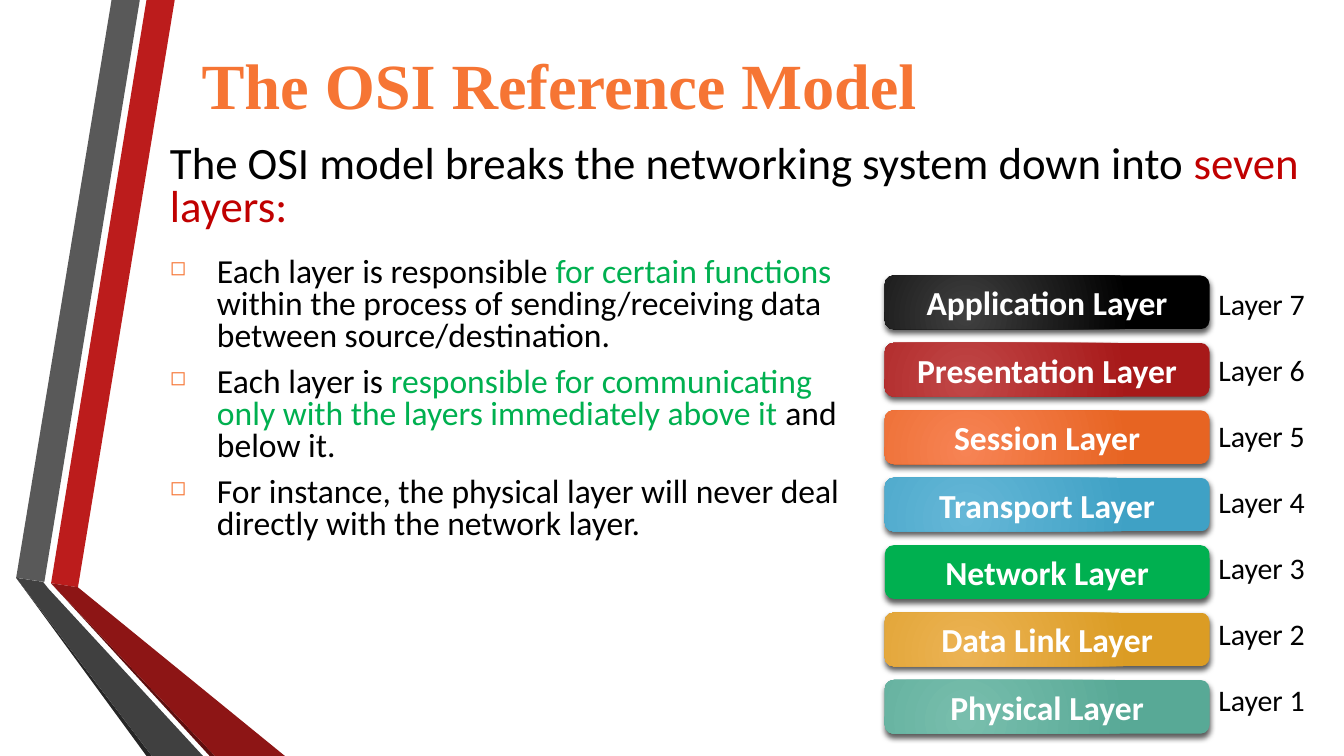
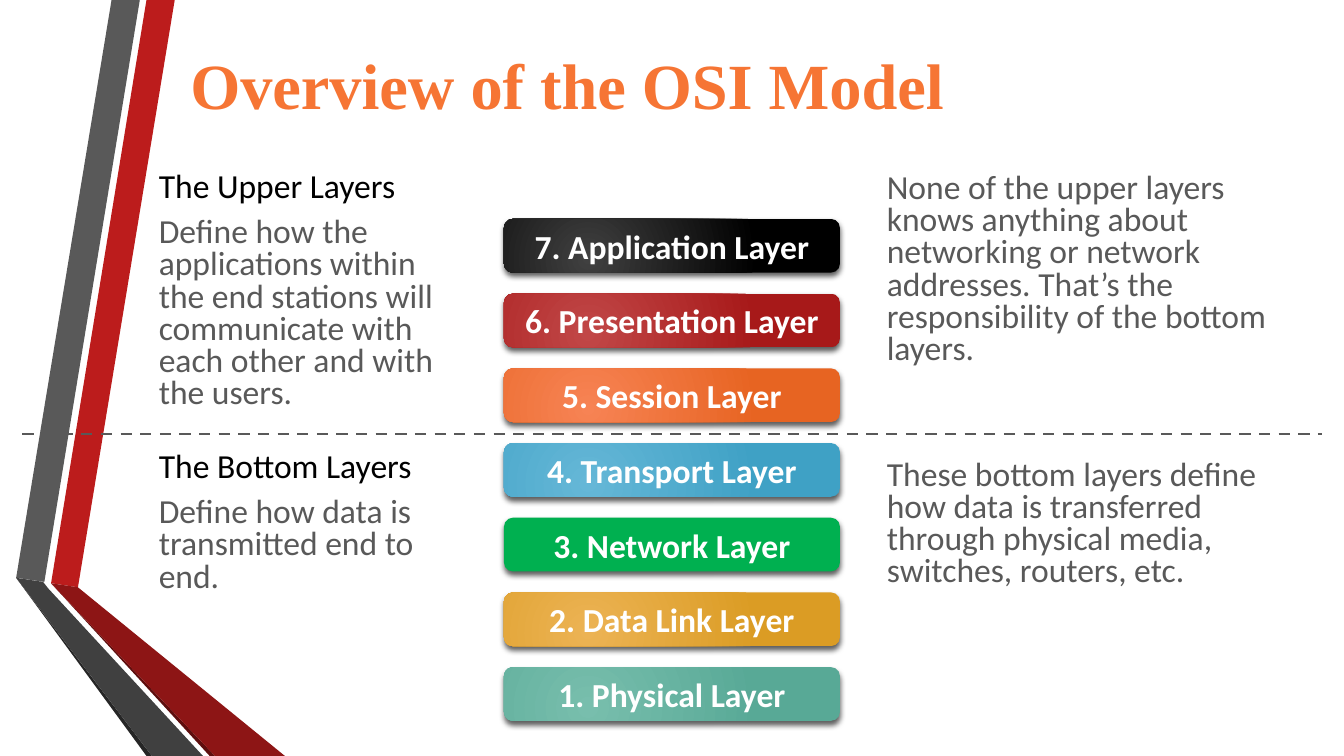
from dataclasses import dataclass
from typing import NamedTuple

from lxml.etree import SubElement
from pptx import Presentation
from pptx.dml.color import RGBColor
from pptx.enum.dml import MSO_LINE
from pptx.enum.shapes import MSO_CONNECTOR, MSO_SHAPE
from pptx.enum.text import MSO_ANCHOR, MSO_AUTO_SIZE, PP_ALIGN
from pptx.oxml.ns import qn
from pptx.slide import Slide
from pptx.text.text import _Paragraph as Paragraph
from pptx.util import Emu, Inches, Pt

COLUMNS = 120
ROWS = 67.5
CELL = Inches(10) / COLUMNS

ORANGE = "F67534"
BLACK = "000000"
WHITE = "FFFFFF"
GREY = "595959"
RED = "C00000"
GREEN = "00B050"
BODY_FONT = "Calibri"
TITLE_FONT = "Times New Roman"


class Box(NamedTuple):
    column: float
    row: float
    columns: float
    rows: float


class Layer(NamedTuple):
    name: str
    light: str
    dark: str


class Ribbon(NamedTuple):
    color: str
    points: tuple[tuple[float, float], ...]


class Span(NamedTuple):
    text: str
    color: str | None = None


@dataclass(frozen=True)
class TextStyle:
    size: float = 18
    color: str = BLACK
    font: str = BODY_FONT
    bold: bool = False
    line_spacing: float | None = None
    space_before: float = 0
    bulleted: bool = False
    align: PP_ALIGN = PP_ALIGN.LEFT


@dataclass(frozen=True)
class Line:
    style: TextStyle
    spans: tuple[Span, ...]


@dataclass(frozen=True)
class TextBlock:
    box: Box
    lines: tuple[Line, ...]
    grows: bool = False
    wraps: bool = True


TITLE = TextStyle(34.5, ORANGE, TITLE_FONT, bold=True)
LEAD = TextStyle(24, line_spacing=0.8, space_before=7)
BULLET = TextStyle(line_spacing=0.8, space_before=7, bulleted=True)
HEADING = TextStyle(line_spacing=0.8, space_before=7)
DETAIL = TextStyle(color=GREY, line_spacing=0.8, space_before=7)
REMARK = TextStyle(color=GREY, line_spacing=0.8)
LAYER_NAME = TextStyle(color=WHITE, bold=True, align=PP_ALIGN.CENTER)
LAYER_NUMBER = TextStyle(16)

LAYERS = (
    Layer("Application Layer", "404040", "000000"),
    Layer("Presentation Layer", "C14747", "A71919"),
    Layer("Session Layer", "F78354", "E76422"),
    Layer("Transport Layer", "65B7D7", "3FA1C5"),
    Layer("Network Layer", GREEN, GREEN),
    Layer("Data Link Layer", "ECB354", "DB9C24"),
    Layer("Physical Layer", "78BEAD", "58A996"),
)

GREY_BEND = (1.44, 51.6)
RED_BEND = (4.56, 52.08)
RIBBONS = (
    Ribbon("BC1C1C", (RED_BEND, (6.96, 52.44), (15.6, 0), (13.08, 0))),
    Ribbon("595959", ((12.48, 0), (9.96, 0), GREY_BEND, (3.96, 51.96))),
    Ribbon("262626", (GREY_BEND, (13.08, ROWS), (13.56, ROWS))),
    Ribbon("5E0E0E", (RED_BEND, (18.72, ROWS), (19.2, ROWS))),
    Ribbon("8D1515", (RED_BEND, (19.2, ROWS), (25.44, ROWS), (6.96, 52.44))),
    Ribbon("404040", ((18.12, ROWS), (4.32, 52.56), (3.84, 51.96), GREY_BEND, (13.56, ROWS))),
)

MODEL_TEXTS = (
    TextBlock(Box(14, 12.4, 108, 5), (
        Line(LEAD, (
            Span("The OSI model breaks the networking system down into "),
            Span("seven layers:", RED),
        )),
    )),
    TextBlock(Box(14, 22.4, 62.6, 28.2), (
        Line(BULLET, (
            Span("Each layer is responsible "),
            Span("for certain functions ", GREEN),
            Span("within the process of sending/receiving data between source/destination."),
        )),
        Line(BULLET, (
            Span("Each layer is "),
            Span("responsible for communicating only with the layers immediately above it ", GREEN),
            Span("and below it."),
        )),
        Line(BULLET, (
            Span("For instance, the physical layer will never deal directly with the network layer."),
        )),
    )),
)

OVERVIEW_TEXTS = (
    TextBlock(Box(13, 14.8, 30, 18.8), (
        Line(HEADING, (Span("The Upper Layers"),)),
        Line(DETAIL, (Span(
            "Define how the applications within the end stations will "
            "communicate with each other and with the users."
        ),)),
    )),
    TextBlock(Box(13, 39.8, 30, 17.5), (
        Line(HEADING, (Span("The Bottom Layers"),)),
        Line(DETAIL, (Span("Define how data is transmitted end to end."),)),
    )),
    TextBlock(Box(78, 14.9, 40, 18.7), (
        Line(REMARK, (Span(
            "None of the upper layers knows anything about networking or network "
            "addresses. That’s the responsibility of the bottom layers."
        ),)),
    ), grows=True),
    TextBlock(Box(78, 40.5, 40, 12.8), (
        Line(REMARK, (Span(
            "These bottom layers define how data is transferred through physical "
            "media, switches, routers, etc."
        ),)),
    ), grows=True),
)


def rgb(color: str) -> RGBColor:
    return RGBColor.from_string(color)


def grid(cells: float) -> Emu:
    return Emu(round(cells * CELL))


def place(box: Box) -> tuple[Emu, ...]:
    return tuple(grid(cells) for cells in box)


def add_bullet(paragraph: Paragraph) -> None:
    properties = paragraph._p.get_or_add_pPr()
    properties.set("marL", str(Inches(0.35)))
    properties.set("indent", str(-Inches(0.35)))
    color = SubElement(properties, qn("a:buClr"))
    SubElement(color, qn("a:srgbClr"), val=ORANGE)
    SubElement(properties, qn("a:buSzPct"), val="60000")
    SubElement(properties, qn("a:buChar"), char="◻")


def write_line(paragraph: Paragraph, line: Line) -> None:
    style = line.style
    paragraph.alignment = style.align
    paragraph.line_spacing = style.line_spacing
    paragraph.space_before = Pt(style.space_before)
    if style.bulleted:
        add_bullet(paragraph)
    paragraph.font.size = Pt(style.size)
    paragraph.font.name = style.font
    paragraph.font.bold = style.bold
    one_color = all(span.color is None for span in line.spans)
    if one_color:
        paragraph.font.color.rgb = rgb(style.color)
    for span in line.spans:
        run = paragraph.add_run()
        run.text = span.text
        if not one_color:
            run.font.color.rgb = rgb(span.color or style.color)


def add_text(slide: Slide, block: TextBlock) -> None:
    frame = slide.shapes.add_textbox(*place(block.box)).text_frame
    frame.word_wrap = block.wraps
    if block.grows:
        frame.auto_size = MSO_AUTO_SIZE.SHAPE_TO_FIT_TEXT
    for index, line in enumerate(block.lines):
        paragraph = frame.add_paragraph() if index else frame.paragraphs[0]
        write_line(paragraph, line)


def add_title(slide: Slide, text: str, column: float) -> None:
    box = Box(column, 3.75, 106 - column, 7.5)
    frame = slide.shapes.add_textbox(*place(box)).text_frame
    frame.word_wrap = True
    frame.vertical_anchor = MSO_ANCHOR.MIDDLE
    frame.margin_left = frame.margin_right = frame.margin_top = frame.margin_bottom = 0
    write_line(frame.paragraphs[0], Line(TITLE, (Span(text),)))


def add_ribbon(slide: Slide, ribbon: Ribbon) -> None:
    points = [(grid(column), grid(row)) for column, row in ribbon.points]
    builder = slide.shapes.build_freeform(*points[0])
    builder.add_line_segments(points[1:], close=True)
    shape = builder.convert_to_shape()
    shape.shadow.inherit = False
    shape.fill.solid()
    shape.fill.fore_color.rgb = rgb(ribbon.color)
    shape.line.fill.background()


def add_layer(slide: Slide, layer: Layer, label: str, box: Box) -> None:
    shape = slide.shapes.add_shape(MSO_SHAPE.ROUNDED_RECTANGLE, *place(box))
    properties = shape._element.spPr
    if layer.light == layer.dark:
        shape.fill.solid()
        shape.fill.fore_color.rgb = rgb(layer.dark)
    else:
        shape.fill.gradient()
        for stop, color in zip(shape.fill.gradient_stops, (layer.light, layer.dark)):
            stop.color.rgb = rgb(color)
        gradient = properties.find(qn("a:gradFill"))
        gradient.remove(gradient.find(qn("a:lin")))
        focus = SubElement(gradient, qn("a:path"), path="circle")
        SubElement(focus, qn("a:fillToRect"), l="50000", t="100000", r="100000", b="50000")
    shape.line.fill.background()
    shape.shadow.inherit = False
    shadow = SubElement(
        properties.find(qn("a:effectLst")), qn("a:outerShdw"),
        blurRad=str(Pt(3)), dist=str(Pt(2)), dir="5400000", rotWithShape="0",
    )
    shadow_color = SubElement(shadow, qn("a:srgbClr"), val=BLACK)
    SubElement(shadow_color, qn("a:alpha"), val="64000")
    frame = shape.text_frame
    frame.word_wrap = True
    frame.vertical_anchor = MSO_ANCHOR.MIDDLE
    write_line(frame.paragraphs[0], Line(LAYER_NAME, (Span(label),)))


def add_stack(slide: Slide, top: Box, pitch: float, numbered: bool) -> None:
    for index, layer in enumerate(LAYERS):
        label = f"{len(LAYERS) - index}. {layer.name}" if numbered else layer.name
        add_layer(slide, layer, label, top._replace(row=top.row + index * pitch))


def add_divider(slide: Slide, row: float) -> None:
    line = slide.shapes.add_connector(
        MSO_CONNECTOR.STRAIGHT, grid(2), grid(row), grid(COLUMNS - 2), grid(row)
    )
    line.line.color.rgb = rgb(GREY)
    line.line.width = Pt(1.5)
    line.line.dash_style = MSO_LINE.DASH
    SubElement(line._element.spPr, qn("a:effectLst"))


def add_base_slide(presentation: Presentation, title: str, column: float) -> Slide:
    slide = presentation.slides.add_slide(presentation.slide_layouts[6])
    for ribbon in RIBBONS:
        add_ribbon(slide, ribbon)
    add_title(slide, title, column)
    return slide


def build_model_slide(presentation: Presentation) -> None:
    slide = add_base_slide(presentation, "The OSI Reference Model", 18)
    for block in MODEL_TEXTS:
        add_text(slide, block)
    add_stack(slide, Box(79, 24.6, 29, 4.8), 6.02, numbered=False)
    for index in range(len(LAYERS)):
        number = Line(LAYER_NUMBER, (Span(f"Layer {len(LAYERS) - index}"),))
        box = Box(107.6, 24.9 + index * 5.89, 10.7, 4.4)
        add_text(slide, TextBlock(box, (number,), grows=True, wraps=False))


def build_overview_slide(presentation: Presentation) -> None:
    slide = add_base_slide(presentation, "Overview of the OSI Model", 17)
    add_stack(slide, Box(45, 19.55, 30, 4.8), 6.67, numbered=True)
    add_divider(slide, 38.75)
    for block in OVERVIEW_TEXTS:
        add_text(slide, block)


def main() -> None:
    presentation = Presentation()
    presentation.slide_width = grid(COLUMNS)
    presentation.slide_height = grid(ROWS)
    build_model_slide(presentation)
    build_overview_slide(presentation)
    presentation.save("out.pptx")


if __name__ == "__main__":
    main()
